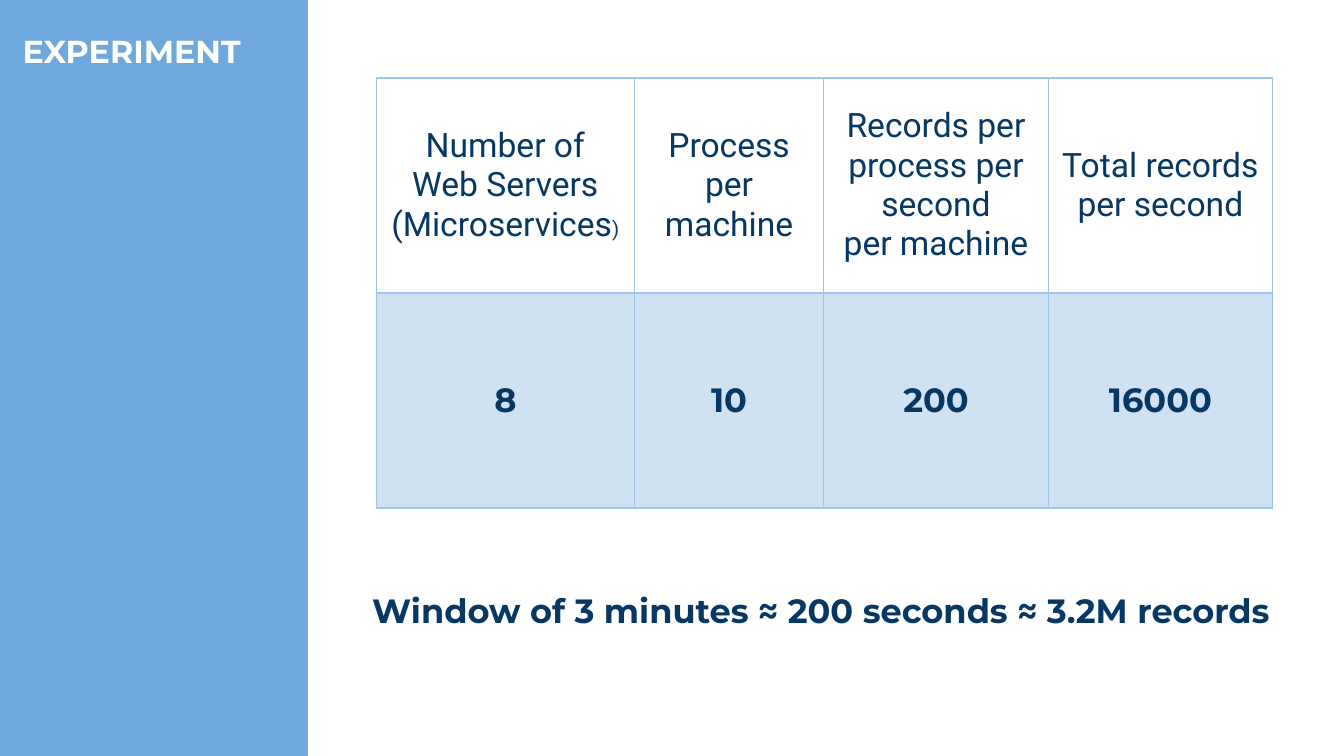
from dataclasses import dataclass

from lxml import etree
from pptx import Presentation
from pptx.dml.color import RGBColor
from pptx.enum import shapes, text
from pptx.oxml.ns import qn
from pptx.util import Inches, Pt

NAVY = "073763"
WHITE = "FFFFFF"
SIDEBAR = "6FA8DC"
BORDER = "9FC5E8"
VALUE_FILL = "CFE2F3"

SLIDE_WIDTH = Inches(10)
SLIDE_HEIGHT = SLIDE_WIDTH * 9 // 16
SIDEBAR_WIDTH = Inches(2.29)
ROW_HEIGHT = Inches(1.6)


@dataclass(frozen=True)
class Run:
    text: str
    size: float = 18
    font: str = "Roboto"
    color: str = NAVY
    bold: bool = False


@dataclass(frozen=True)
class Column:
    width: float
    heading: list[list[Run]]
    value: str


@dataclass(frozen=True)
class Label:
    left: float
    top: float
    width: float
    height: float
    run: Run


COLUMNS = [
    Column(1.92, [[Run("Number of Web Servers")],
                  [Run("(Microservices"), Run(")", size=11)]], "8"),
    Column(1.41, [[Run("Process per machine")]], "10"),
    Column(1.67, [[Run("Records per process per second")],
                  [Run("per machine")]], "200"),
    Column(1.67, [[Run("Total records per second")]], "16000"),
]
LABELS = [
    Label(0.07, 0.14, 2.17, 0.94,
          Run("EXPERIMENT", 17, "Montserrat", WHITE, True)),
    Label(2.67, 4.29, 7.28, 1.33,
          Run("Window of 3 minutes ≈ 200 seconds ≈ 3.2M records",
              font="Montserrat", bold=True)),
]


def rgb(color: str) -> RGBColor:
    return RGBColor.from_string(color)


def fill_solid(fill, color: str) -> None:
    fill.solid()
    fill.fore_color.rgb = rgb(color)


def write(tf, paragraphs: list[list[Run]], align=text.PP_ALIGN.LEFT) -> None:
    for i, runs in enumerate(paragraphs):
        p = tf.add_paragraph() if i else tf.paragraphs[0]
        p.alignment = align
        for run in runs:
            r = p.add_run()
            r.text = run.text
            r.font.size = Pt(run.size)
            r.font.name = run.font
            r.font.bold = run.bold
            r.font.color.rgb = rgb(run.color)


def add_label(s, label: Label) -> None:
    sp = s.shapes.add_textbox(Inches(label.left), Inches(label.top),
                              Inches(label.width), Inches(label.height))
    tf = sp.text_frame
    tf.word_wrap = True
    tf.margin_left = tf.margin_right = Inches(0.1)
    tf.margin_top = tf.margin_bottom = Inches(0.1)
    write(tf, [[label.run]])


def add_borders(cell) -> None:
    tc_pr = cell._tc.get_or_add_tcPr()
    for side in ("lnL", "lnR", "lnT", "lnB"):
        ln = etree.SubElement(tc_pr, qn(f"a:{side}"), w=str(Pt(0.75)))
        fill = etree.SubElement(ln, qn("a:solidFill"))
        etree.SubElement(fill, qn("a:srgbClr"), val=BORDER)


def fill_cell(cell, paragraphs: list[list[Run]], color: str | None) -> None:
    cell.vertical_anchor = text.MSO_ANCHOR.MIDDLE
    cell.margin_left = cell.margin_right = Inches(0.1)
    cell.margin_top = cell.margin_bottom = Inches(0.07)
    add_borders(cell)
    if color:
        fill_solid(cell.fill, color)
    else:
        cell.fill.background()
    write(cell.text_frame, paragraphs, text.PP_ALIGN.CENTER)


def add_records_table(s, columns: list[Column]) -> None:
    width = sum(column.width for column in columns)
    table = s.shapes.add_table(2, len(columns), Inches(2.8), Inches(0.58),
                               Inches(width), 2 * ROW_HEIGHT).table
    table.first_row = False
    table.horz_banding = False
    for row in table.rows:
        row.height = ROW_HEIGHT
    for i, column in enumerate(columns):
        table.columns[i].width = Inches(column.width)
        value = Run(column.value, font="Montserrat", bold=True)
        fill_cell(table.cell(0, i), column.heading, None)
        fill_cell(table.cell(1, i), [[value]], VALUE_FILL)


def add_panel(s) -> None:
    sp = s.shapes.add_shape(shapes.MSO_SHAPE.RECTANGLE, SIDEBAR_WIDTH, 0,
                            SLIDE_WIDTH - SIDEBAR_WIDTH, SLIDE_HEIGHT)
    sp.shadow.inherit = False
    fill_solid(sp.fill, WHITE)
    sp.line.fill.background()


def main() -> None:
    prs = Presentation()
    prs.slide_width = SLIDE_WIDTH
    prs.slide_height = SLIDE_HEIGHT
    s = prs.slides.add_slide(prs.slide_layouts[6])
    fill_solid(s.background.fill, SIDEBAR)
    add_panel(s)
    add_records_table(s, COLUMNS)
    for label in LABELS:
        add_label(s, label)
    prs.save("out.pptx")


if __name__ == "__main__":
    main()
